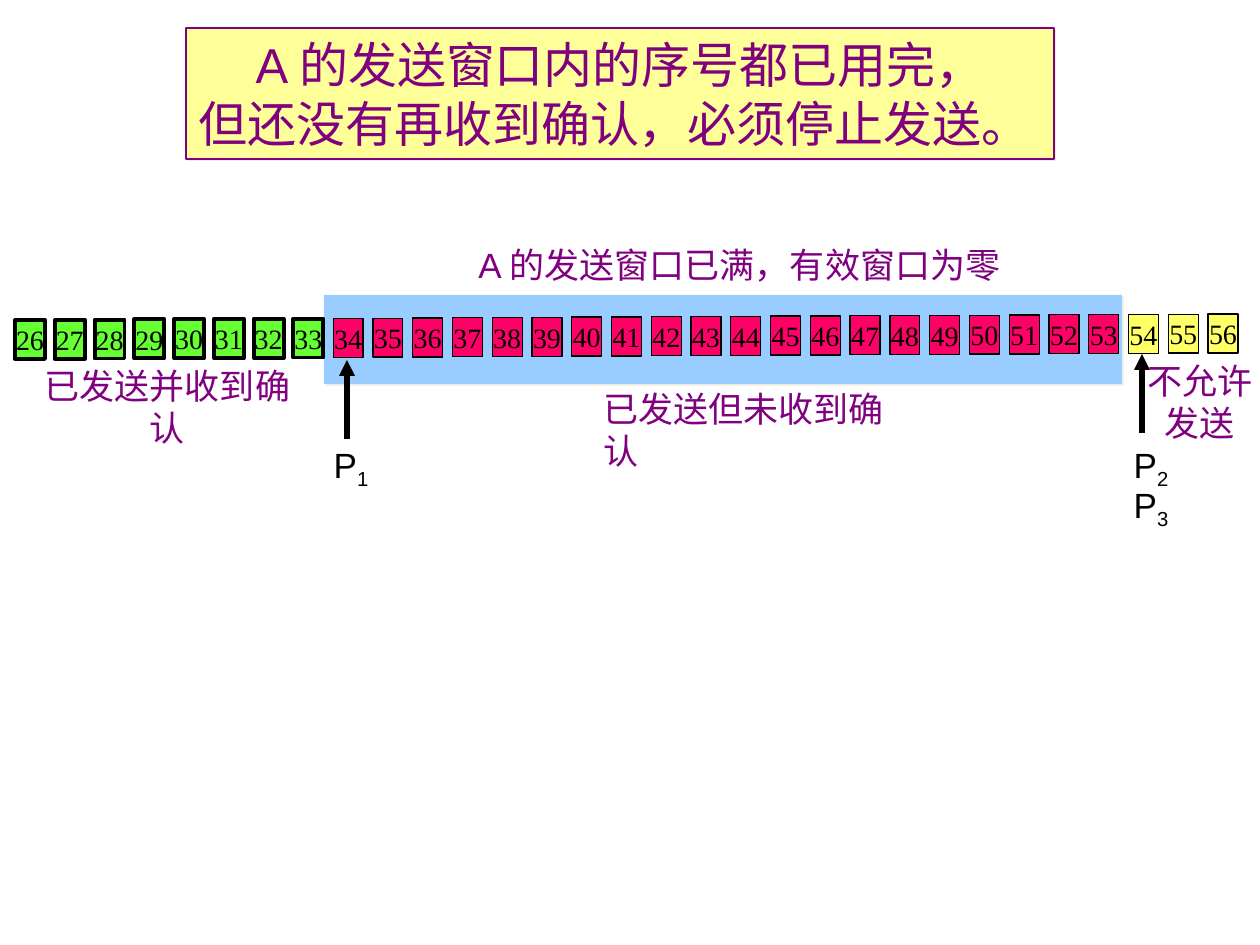
import pptx
import pptx.dml.color
import pptx.enum.shapes
import pptx.enum.text
import pptx.oxml
import pptx.oxml.ns
import pptx.util
import lxml.etree

RGB = pptx.dml.color.RGBColor
PURPLE, BLACK, WHITE = RGB(128, 0, 128), RGB(0, 0, 0), RGB(255, 255, 255)
PALE_YELLOW, YELLOW = RGB(255, 255, 153), RGB(255, 255, 102)
GREEN, RED, BLUE = RGB(102, 255, 51), RGB(255, 0, 102), RGB(153, 204, 255)
SCALE = 914400 / 126
CENTER = pptx.enum.text.PP_ALIGN.CENTER
LEFT = pptx.enum.text.PP_ALIGN.LEFT
RECTANGLE = pptx.enum.shapes.MSO_SHAPE.RECTANGLE
STRAIGHT = pptx.enum.shapes.MSO_CONNECTOR.STRAIGHT
FIT = pptx.enum.text.MSO_AUTO_SIZE.SHAPE_TO_FIT_TEXT
TOP = pptx.enum.text.MSO_ANCHOR.TOP
MIDDLE = pptx.enum.text.MSO_ANCHOR.MIDDLE


def emu(*pixels):
    """Turn pixel lengths into EMU."""
    return [pptx.util.Emu(round(value * SCALE)) for value in pixels]


def style_para(para, size, color, font="Arial", align=CENTER):
    """Set the alignment and font of a paragraph."""
    para.alignment = align
    para.font.size = pptx.util.Pt(size)
    para.font.name = font
    para.font.color.rgb = color


def write(shape, lines, size, color, align=CENTER):
    """Write lines into a shape that grows with its text."""
    frame = shape.text_frame
    frame.text = "\n".join(lines)
    frame.word_wrap = False
    frame.auto_size = FIT
    frame.vertical_anchor = TOP
    for para in frame.paragraphs:
        style_para(para, size, color, align=align)


def add_pale_shadow(shape):
    """Give a shape a small hard shadow to the lower right."""
    shape.shadow.inherit = False
    effects = shape._element.spPr.find(pptx.oxml.ns.qn("a:effectLst"))
    shadow = lxml.etree.SubElement(effects, pptx.oxml.ns.qn("a:outerShdw"),
                                   dist="17780", dir="2700000", algn="ctr", rotWithShape="0")
    lxml.etree.SubElement(shadow, pptx.oxml.ns.qn("a:srgbClr"), val="EEECE1")


def add_title(page, box, lines):
    """Place the framed slide title."""
    title = page.shapes.title
    title.left, title.top, title.width, title.height = emu(*box)
    title.fill.solid()
    title.fill.fore_color.rgb = PALE_YELLOW
    title.line.color.rgb = PURPLE
    title.line.width = pptx.util.Pt(0.75)
    add_pale_shadow(title)
    write(title, lines, 28, PURPLE)


def add_label(page, box, lines, align=CENTER, fill=None):
    """Place a purple caption."""
    label = page.shapes.add_textbox(*emu(*box))
    if fill is not None:
        label.fill.solid()
        label.fill.fore_color.rgb = fill
    write(label, lines, 20, PURPLE, align)


def add_window(page, box):
    """Place the blue band of the send window."""
    window = page.shapes.add_shape(RECTANGLE, *emu(*box))
    window.fill.solid()
    window.fill.fore_color.rgb = BLUE
    window.line.fill.background()
    add_pale_shadow(window)


def add_sequence(page, box, first, groups):
    """Fill a slightly rising row with numbered cells, group by group."""
    left, top, width, height = box
    cell_width, cell_height = 30, 39
    cells = [(fill, line) for count, fill, line in groups for _ in range(count)]
    last = len(cells) - 1
    for index, (fill, line) in enumerate(cells):
        x = left + (width - cell_width) * index / last
        y = top + (height - cell_height) * (1 - index / last)
        cell = page.shapes.add_shape(RECTANGLE, *emu(x, y, cell_width, cell_height))
        cell.shadow.inherit = False
        cell.fill.solid()
        cell.fill.fore_color.rgb = fill
        cell.line.color.rgb = BLACK
        cell.line.width = pptx.util.Pt(line)
        frame = cell.text_frame
        frame.text = str(first + index)
        frame.word_wrap = False
        frame.vertical_anchor = MIDDLE
        style_para(frame.paragraphs[0], 16, BLACK, "Times New Roman")


def add_pointer(page, x, tip, tail):
    """Draw an upward arrow."""
    arrow = page.shapes.add_connector(STRAIGHT, *emu(x, tail, x, tip))
    arrow.line.color.rgb = BLACK
    arrow.line.width = pptx.util.Pt(3)
    line = arrow.line._get_or_add_ln()
    lxml.etree.SubElement(line, pptx.oxml.ns.qn("a:tailEnd"), type="triangle")
    lxml.etree.SubElement(arrow._element.spPr, pptx.oxml.ns.qn("a:effectLst"))


def add_pointer_name(page, box, index):
    """Write P with a subscript index."""
    name = page.shapes.add_textbox(*emu(*box))
    write(name, ["P"], 20, BLACK)
    span = name.text_frame.paragraphs[0].add_run()
    span.text = str(index)
    span.font._element.set("baseline", "-25000")


def build_send_window(page):
    """Place the whole send window diagram."""
    add_label(page, (1135, 353, 130, 97), ["不允许", "发送"])
    add_label(page, (15, 358, 305, 55), ["已发送并收到确认"], fill=WHITE)
    add_label(page, (466, 237, 557, 55), ["A 的发送窗口已满，有效窗口为零"], LEFT, WHITE)
    add_window(page, (324, 295, 798, 89))
    add_sequence(page, (15, 314, 1223, 45), 26,
                 [(8, GREEN, 2.25), (20, RED, 0.75), (3, YELLOW, 0.75)])
    add_label(page, (591, 381, 340, 55), ["已发送但未收到确认"], LEFT)
    add_pointer(page, 347, 360, 439)
    add_pointer(page, 1142, 354, 433)
    for index, (x, y) in enumerate([(321, 437), (1121, 437), (1121, 477)], 1):
        add_pointer_name(page, (x, y, 60, 60), index)


deck = pptx.Presentation()
deck.slide_width, deck.slide_height = emu(1260, 945)
page = deck.slides.add_slide(deck.slide_layouts[5])
add_title(page, (186, 28, 868, 131),
          ["A 的发送窗口内的序号都已用完，", "但还没有再收到确认，必须停止发送。 "])
build_send_window(page)
deck.save("out.pptx")
